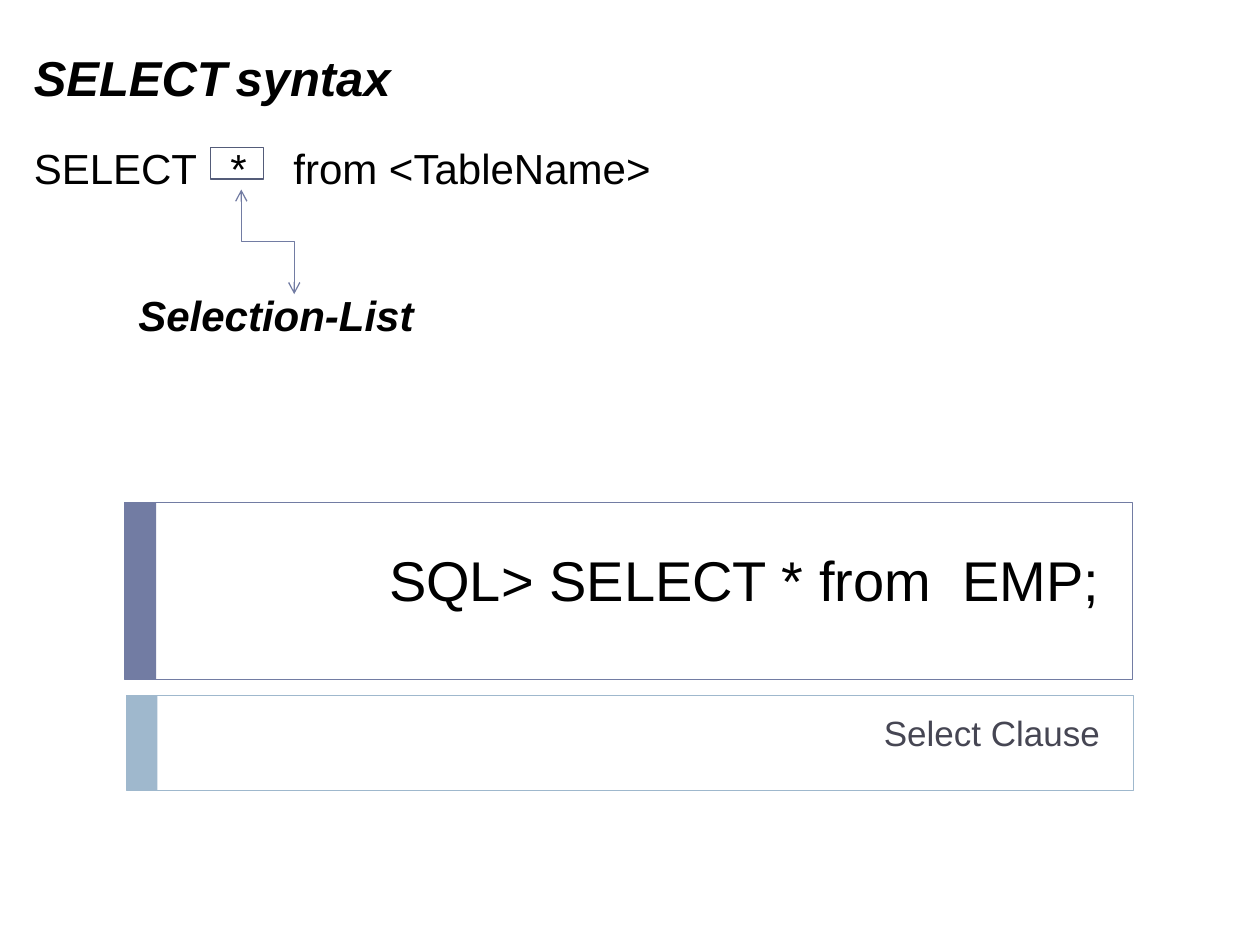
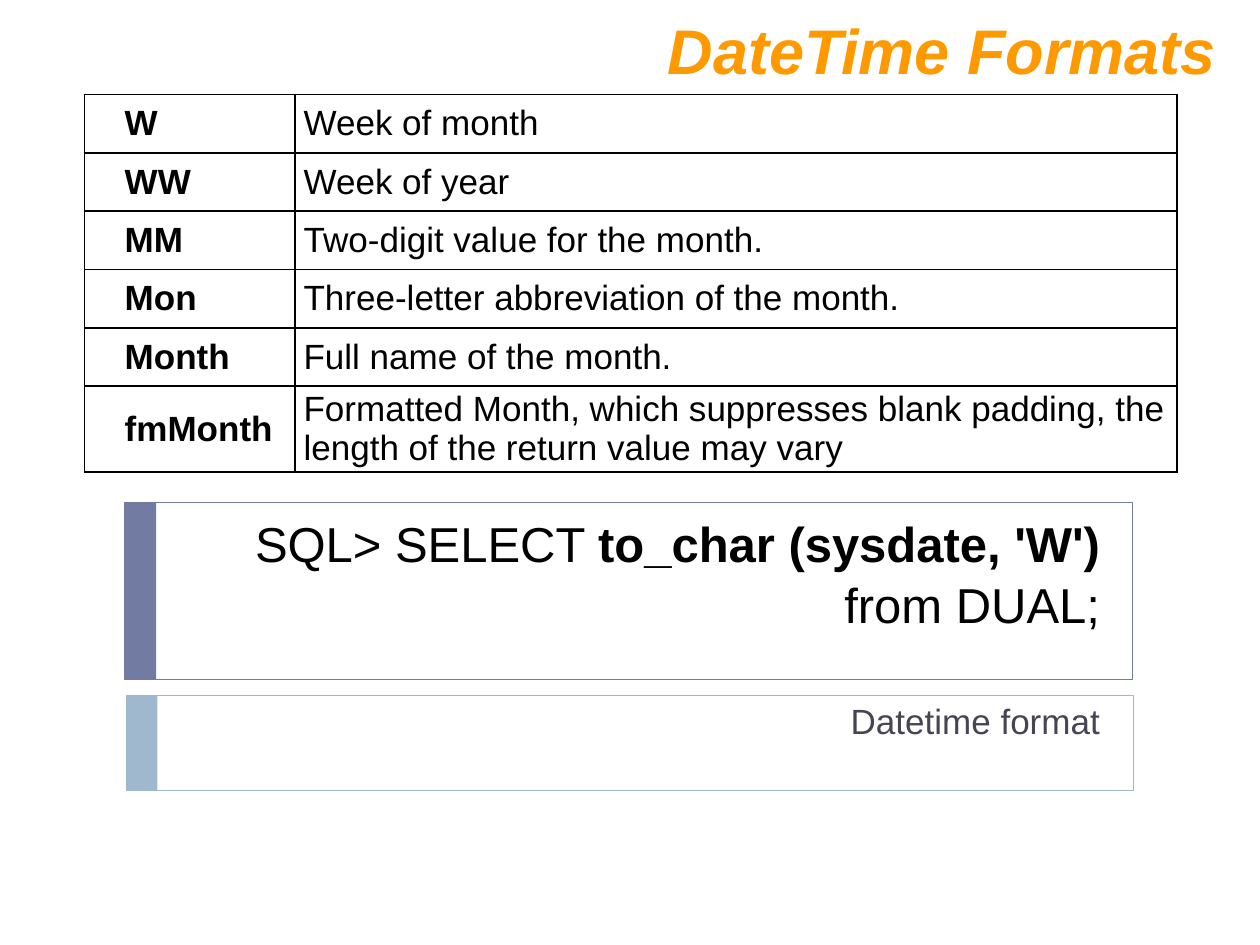
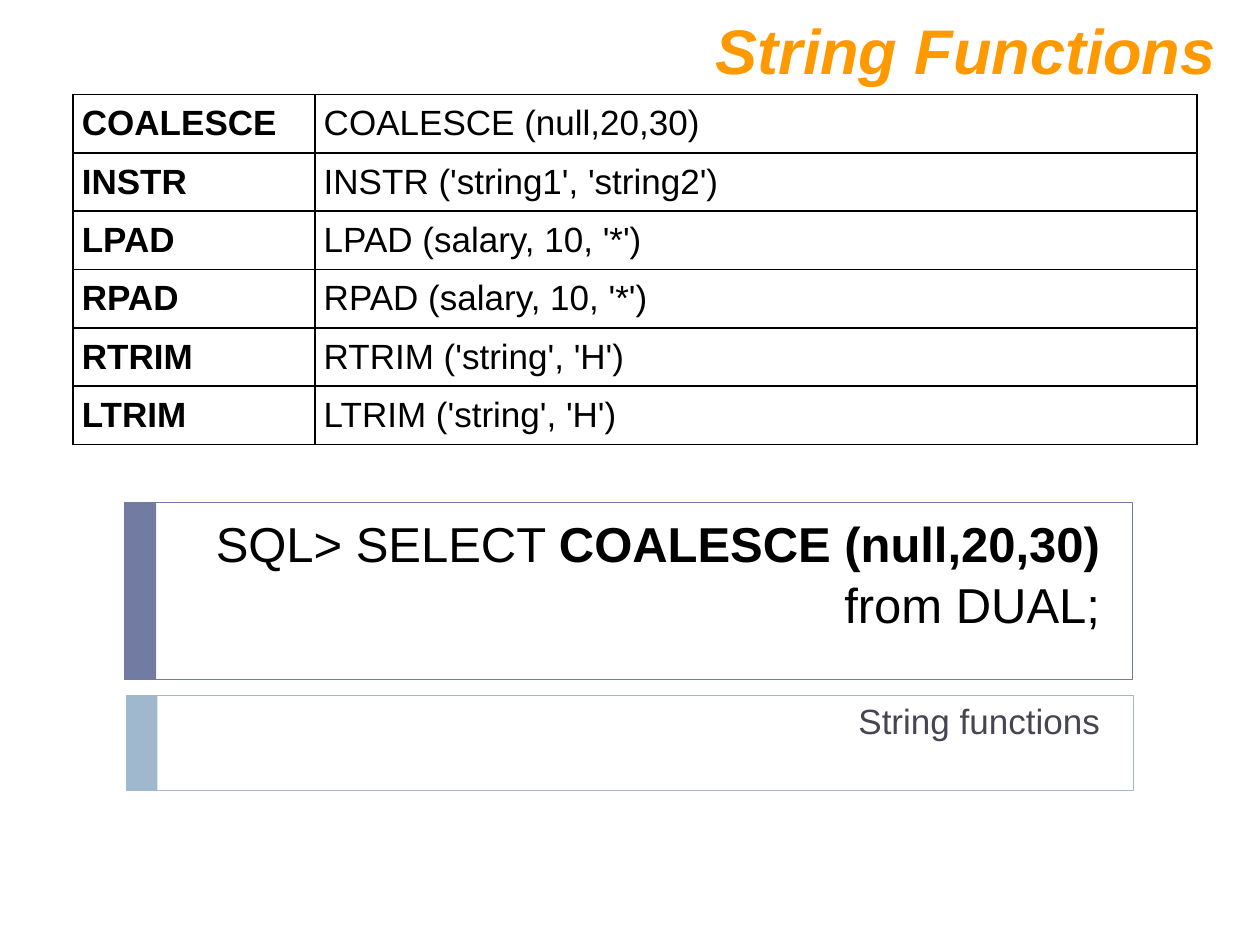
from lxml import etree
from pptx import Presentation
from pptx import util as u
from pptx.dml.color import RGBColor
from pptx.enum import shapes, text
from pptx.oxml import ns

COLORS = {
    "ink": "000000", "heading": "FF9900", "caption": "464653",
    "violet": "727CA3", "sky": "9FB8CD", "slate": "545C79",
}
FONT = "Arial"
ROW_HEIGHT = 2.78 / 6


def color(name):
    return RGBColor.from_string(COLORS[name])


def add_element(parent, tag, **attributes):
    child = etree.SubElement(parent, ns.qn(tag))
    for key, value in attributes.items():
        child.set(key, str(value))
    return child


def place(shape, left, top, width, height):
    shape.left, shape.top = u.Inches(left), u.Inches(top)
    shape.width, shape.height = u.Inches(width), u.Inches(height)


def style(font, size, ink="ink", bold=False, italic=False):
    font.name, font.size = FONT, u.Pt(size)
    font.bold, font.italic = bold, italic
    font.color.rgb = color(ink)


class SlideBuilder:
    def __init__(self):
        self.deck = Presentation()
        self.deck.slide_width = u.Inches(10)
        self.deck.slide_height = u.Inches(7.5)
        self.page = None

    def start(self, spans, size, title_top, caption, caption_top):
        """Add a slide with the two bands, its statement as title and a caption.

        spans lists (text, bold) pairs.
        """
        self.page = self.deck.slides.add_slide(self.deck.slide_layouts[5])
        self.band(0.99, 3.99, 1.4, "violet")
        self.band(1, 5.52, 0.75, "sky")
        title = self.page.shapes.title
        place(title, 1.33, title_top, 7.5, 1.08)
        frame = title.text_frame
        frame.word_wrap = True
        frame.auto_size = text.MSO_AUTO_SIZE.NONE
        frame.vertical_anchor = text.MSO_ANCHOR.TOP
        para = frame.paragraphs[0]
        para.alignment = text.PP_ALIGN.RIGHT
        para.line_spacing = 1.05
        for words, bold in spans:
            span = para.add_run()
            span.text = words
            style(span.font, size, bold=bold)
        self.text(caption, (1.33, caption_top, 7.5, 0.58), 20,
                  ink="caption", align=text.PP_ALIGN.RIGHT)

    def band(self, left, top, height, ink):
        self.rectangle((left, top, 8, height), 0.5, ink)
        self.rectangle((left, top, 0.25, height), 0, ink, filled=True)

    def rectangle(self, area, line_width, ink, filled=False):
        box = self.page.shapes.add_shape(
            shapes.MSO_SHAPE.RECTANGLE, *map(u.Inches, area))
        box.shadow.inherit = False
        if filled:
            box.fill.solid()
            box.fill.fore_color.rgb = color(ink)
            box.line.fill.background()
        else:
            box.fill.background()
            box.line.color.rgb = color(ink)
            box.line.width = u.Pt(line_width)

    def text(self, words, area, size, ink="ink", bold=False, italic=False,
             align=text.PP_ALIGN.LEFT, tabs=()):
        box = self.page.shapes.add_textbox(*map(u.Inches, area))
        frame = box.text_frame
        frame.word_wrap = True
        frame.text = words
        para = frame.paragraphs[0]
        para.alignment = align
        if tabs:
            stops = add_element(para._p.get_or_add_pPr(), "a:tabLst")
            for stop in tabs:
                add_element(stops, "a:tab", pos=u.Inches(stop), algn="l")
        for span in para.runs:
            style(span.font, size, ink, bold, italic)
        return para

    def heading(self, words):
        self.text(words, (0.25, 0.04, 9.5, 0.71), 36, "heading",
                  bold=True, italic=True, align=text.PP_ALIGN.RIGHT)

    def elbow_arrow(self, left, top, width, height):
        """Draw a two-headed elbow, given by its box before a 270 degree turn."""
        arrow = self.page.shapes.add_connector(
            shapes.MSO_CONNECTOR.ELBOW, u.Inches(left), u.Inches(top + height),
            u.Inches(left + width), u.Inches(top))
        arrow.line.color.rgb = color("violet")
        arrow.line.width = u.Pt(0.75)
        properties = arrow._element.spPr
        properties.find(ns.qn("a:xfrm")).set("rot", str(270 * 60000))
        line = properties.find(ns.qn("a:ln"))
        for end in ("a:headEnd", "a:tailEnd"):
            add_element(line, end, type="arrow")
        add_element(properties, "a:effectLst")

    def table(self, rows, left, first_width, indent=0, last_height=ROW_HEIGHT):
        widths = (first_width, 7)
        heights = [ROW_HEIGHT] * (len(rows) - 1) + [last_height]
        grid = self.page.shapes.add_table(
            len(rows), 2, u.Inches(left), u.Inches(0.75),
            u.Inches(sum(widths)), u.Inches(sum(heights))).table
        grid.first_row = grid.horz_banding = False
        for column, width in zip(grid.columns, widths):
            column.width = u.Inches(width)
        for row, height, entries in zip(grid.rows, heights, rows):
            row.height = u.Inches(height)
            for index, (cell, words) in enumerate(zip(row.cells, entries)):
                self.cell(cell, words, key=index == 0, indent=indent)

    def cell(self, cell, words, key, indent):
        cell.margin_left = cell.margin_right = u.Inches(0.07)
        cell.margin_top = cell.margin_bottom = 0
        cell.vertical_anchor = text.MSO_ANCHOR.MIDDLE
        cell.text_frame.text = words
        para = cell.text_frame.paragraphs[0]
        if key and indent:
            para._p.get_or_add_pPr().set("indent", str(u.Inches(indent)))
        style(para.runs[0].font, 20, bold=key)
        properties = cell._tc.get_or_add_tcPr()
        for side in ("a:lnL", "a:lnR", "a:lnT", "a:lnB"):
            line = add_element(properties, side, w=u.Pt(1))
            fill = add_element(line, "a:solidFill")
            add_element(fill, "a:srgbClr", val=COLORS["ink"])
        cell.fill.background()


def select_syntax(builder):
    builder.start([("SQL> SELECT * from  EMP;", False)], 32, 4.25,
                  "Select Clause", 5.6)
    builder.text("SELECT\t*\tfrom <TableName>", (0.17, 1.08, 9.42, 0.5), 24,
                 tabs=(1.56, 2.06))
    label = builder.text("SELECT", (0.17, 0.33, 3.11, 0.57), 28,
                         bold=True, italic=True)
    for words, size in ((" ", 18), ("syntax", 28)):
        span = label.add_run()
        span.text = words
        style(span.font, size, bold=True, italic=True)
    builder.elbow_arrow(1.71, 1.71, 0.83, 0.42)
    builder.rectangle((1.67, 1.17, 0.42, 0.25), 0.75, "slate")
    builder.text("Selection-List", (1, 2.25, 2.83, 0.5), 24,
                 bold=True, italic=True)


def datetime_formats(builder):
    builder.start([("SQL> SELECT ", False), ("to_char (sysdate, 'W') ", True),
                   ("from DUAL;", False)], 28, 4, "Datetime format", 5.5)
    builder.heading("DateTime Formats")
    builder.table([
        ("W", "Week of month"),
        ("WW", "Week of year"),
        ("MM", "Two-digit value for the month."),
        ("Mon", "Three-letter abbreviation of the month."),
        ("Month", "Full name of the month."),
        ("fmMonth", "Formatted Month, which suppresses blank padding, "
                    "the length of the return value may vary"),
    ], 0.67, 1.67, indent=0.25, last_height=0.68)


def string_functions(builder):
    builder.start([("SQL> SELECT ", False), ("COALESCE (null,20,30)", True),
                   (" from DUAL;", False)], 28, 4, "String functions", 5.5)
    builder.heading("String Functions")
    calls = [
        ("COALESCE", "(null,20,30)"),
        ("INSTR", "('string1', 'string2')"),
        ("LPAD", "(salary, 10, '*')"),
        ("RPAD", "(salary, 10, '*')"),
        ("RTRIM", "('string', 'H')"),
        ("LTRIM", "('string', 'H')"),
    ]
    builder.table([(name, f"{name} {arguments}") for name, arguments in calls],
                  0.58, 1.92)


def main():
    builder = SlideBuilder()
    select_syntax(builder)
    datetime_formats(builder)
    string_functions(builder)
    builder.deck.save("out.pptx")


if __name__ == "__main__":
    main()
